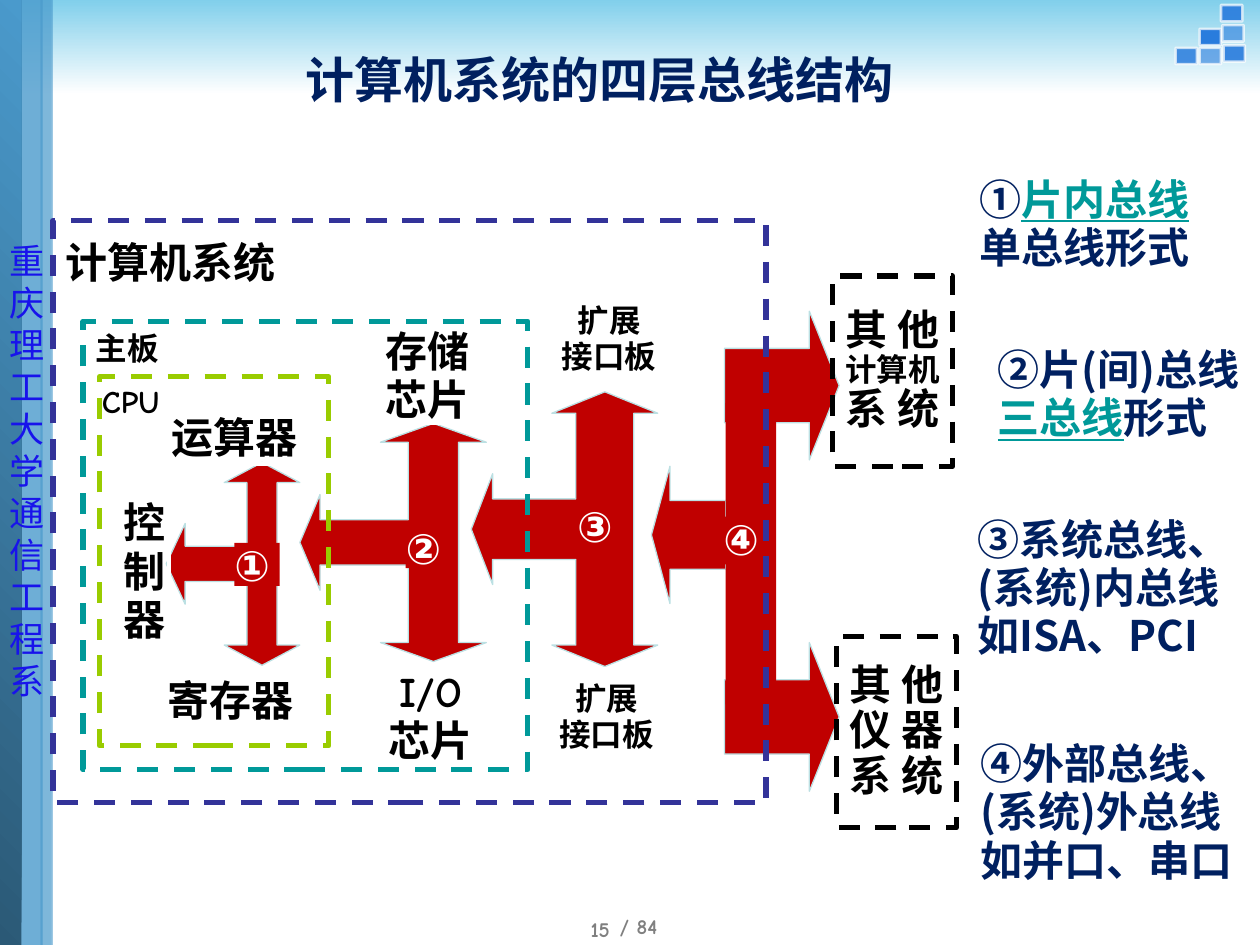
from lxml import etree
from pptx import Presentation
from pptx.dml.color import RGBColor
from pptx.enum.dml import MSO_LINE
from pptx.enum.shapes import MSO_SHAPE
from pptx.enum.text import MSO_ANCHOR, PP_ALIGN
from pptx.oxml.ns import qn
from pptx.util import Inches, Pt

RECTANGLE, LEFT_ARROW, RIGHT_ARROW = MSO_SHAPE.RECTANGLE, MSO_SHAPE.LEFT_ARROW, MSO_SHAPE.RIGHT_ARROW
DASH = MSO_LINE.DASH
TOP, MIDDLE = MSO_ANCHOR.TOP, MSO_ANCHOR.MIDDLE
LEFT, CENTER, RIGHT = PP_ALIGN.LEFT, PP_ALIGN.CENTER, PP_ALIGN.RIGHT
LABEL_FONT, NOTE_FONT, NUMBER_FONT = "Comic Neue", "Noto Sans CJK SC", "Cabin"
COLORS = {
    "sky": "81CFEB", "white": "FFFFFF", "cube": "297CDD", "band": "4A9ACC", "band_dark": "2B5976",
    "school": "1813EB", "bus": "C00000", "bus_edge": "BBE0E3", "navy": "002060", "teal": "009999",
    "green": "99CC00", "indigo": "333399", "black": "000000", "gray": "7F7F7F", "light_gray": "808080",
}


def color(name):
    """Return a named colour."""
    return RGBColor.from_string(COLORS[name])


def set_alpha(fill_element, percent):
    """Make the solid colour under an element partly transparent."""
    for node in fill_element.iter(qn("a:srgbClr")):
        etree.SubElement(node, qn("a:alpha")).set("val", str(percent * 1000))


def paint(shape, fill=None, line=None, width=0.75, dash=None):
    """Set fill and outline and remove the shadow."""
    shape.shadow.inherit = False
    if fill:
        shape.fill.solid()
        shape.fill.fore_color.rgb = color(fill)
    else:
        shape.fill.background()
    if line:
        shape.line.color.rgb = color(line)
        shape.line.width = Pt(width)
        if dash:
            shape.line.dash_style = dash
    else:
        shape.line.fill.background()


def add_box(slide, box, kind=RECTANGLE, **style):
    """Add a painted preset shape."""
    shape = slide.shapes.add_shape(kind, *map(Inches, box))
    paint(shape, **style)
    return shape


def write(shape, lines, size, font=LABEL_FONT, ink="black", align=LEFT, anchor=TOP,
          spacing=0.96, inset=0, bold=True):
    """Fill a shape with lines, each a string or a list of (text, overrides) runs."""
    frame = shape.text_frame
    frame.word_wrap = True
    frame.vertical_anchor = anchor
    if inset is not None:
        frame.margin_left = frame.margin_right = frame.margin_top = frame.margin_bottom = Inches(inset)
    for index, line in enumerate(lines):
        paragraph = frame.add_paragraph() if index else frame.paragraphs[0]
        paragraph.alignment, paragraph.line_spacing = align, spacing
        paragraph.font.name, paragraph.font.size, paragraph.font.bold = font, Pt(size), bold
        paragraph.font.color.rgb = color(ink)
        for text, overrides in [(line, {})] if isinstance(line, str) else line:
            run = paragraph.add_run()
            run.text = text
            if "size" in overrides:
                run.font.size = Pt(overrides["size"])
            if "ink" in overrides:
                run.font.color.rgb = color(overrides["ink"])
                run.font.underline = True


def add_text(slide, box, lines, size, **style):
    """Add a text box."""
    write(slide.shapes.add_textbox(*map(Inches, box)), lines, size, **style)


def add_gradient(slide, box, start, end, angle):
    """Add a rectangle with a two-colour gradient."""
    shape = add_box(slide, box)
    shape.fill.gradient()
    shape.fill.gradient_angle = angle
    for stop, name in zip(shape.fill.gradient_stops, (start, end)):
        stop.color.rgb = color(name)


def add_backdrop(slide, width, height):
    """Draw the top band, the corner cubes and the side band with the school name."""
    add_gradient(slide, (0, 0, width, 0.75), "sky", "white", 270)
    cubes = [(9.73, 0.34, 90), (9.54, 0.36, 60), (9.35, 0.36, 85),
             (9.54, 0.21, 100), (9.72, 0.18, 60), (9.71, 0.02, 90)]
    for left, top, opacity in cubes:
        cube = add_box(slide, (left, top, 0.13, 0.17), fill="cube", line="white", width=1.5)
        cube.rotation = 90
        outline = cube.line._get_or_add_ln()
        set_alpha(outline, 70)
        set_alpha(cube._element.spPr.find(qn("a:solidFill")), opacity)
    for index, (left, strip, opacity) in enumerate([(0.11, 0.23, 80), (0.32, 0.1, 54), (0.33, 0.08, 37)]):
        band = add_box(slide, (left, 0, strip, height), fill="band")
        set_alpha(band._element.spPr, opacity)
        if index == 0:
            add_gradient(slide, (-0.01, 0, 0.18, height), "band_dark", "band", 45)
    add_text(slide, (-0.02, 1.85, 0.7, 3.8), ["重庆理工大学", "通信工程系"], 20, font=NOTE_FONT,
             ink="school", spacing=1.0, inset=None, bold=False)


def add_number(slide, box, number):
    """Add a bus number on its red patch."""
    write(add_box(slide, box, fill="bus"), [number], 24, font=NUMBER_FONT, ink="white")


def add_bus(slide, box, number, number_box, head, shaft, tip, branch):
    """Draw a vertical double arrow with a branch to the left; head and tip are (half width, length)."""
    left, top, width, height = box
    middle, bottom = top + height / 2, top + height
    axis = left + width - head[0]
    neck = left + tip[1]
    upper = [(left, middle), (neck, middle - tip[0]), (neck, middle - branch),
             (axis - shaft, middle - branch), (axis - shaft, top + head[1]),
             (axis - head[0], top + head[1]), (axis, top), (axis + head[0], top + head[1]),
             (axis + shaft, top + head[1])]
    lower = [(x, top + bottom - y) for x, y in reversed(upper[1:])]
    points = [(Inches(x), Inches(y)) for x, y in upper + lower]
    builder = slide.shapes.build_freeform(*points[0])
    builder.add_line_segments(points[1:], close=True)
    paint(builder.convert_to_shape(), fill="bus", line="bus_edge")
    add_number(slide, number_box, number)


def add_external_bus(slide, left, top):
    """Draw the fourth bus, which leads out to the other systems."""
    arrows = [(LEFT_ARROW, 0, 1.23, 0.59, 1.09, 0.25),
              (RIGHT_ARROW, 0.58, 0, 0.91, 1.18, 0.26),
              (RIGHT_ARROW, 0.58, 2.63, 0.91, 1.18, 0.26)]
    for kind, x, y, width, height, head in arrows:
        arrow = add_box(slide, (left + x, top + y, width, height), kind, fill="bus", line="bus_edge")
        arrow.adjustments[0], arrow.adjustments[1] = 0.5, head
    add_box(slide, (left + 0.59, top + 0.73, 0.4, 2.39), fill="bus")
    add_number(slide, (left + 0.57, top + 1.63, 0.31, 0.38), "④")


def add_parts(slide):
    """Label the parts and draw the dashed borders around them."""
    parts = [((1.36, 3.29, 1.1, 0.39), ["运算器"], 24, LEFT, TOP),
             ((1.33, 5.38, 1.09, 0.39), ["寄存器"], 24, LEFT, TOP),
             ((0.98, 3.97, 0.36, 1.11), ["控制器"], 24, LEFT, TOP),
             ((2.93, 2.61, 0.92, 0.75), ["存储芯片"], 24, CENTER, TOP),
             ((3.02, 5.31, 0.8, 0.75), ["I/O芯片"], 24, CENTER, TOP),
             ((4.35, 2.3, 0.97, 0.79), ["扩展", "接口板"], 18, CENTER, MIDDLE),
             ((4.33, 5.31, 0.97, 0.77), ["扩展", "接口板"], 18, CENTER, MIDDLE)]
    for box, lines, size, align, anchor in parts:
        write(add_box(slide, box, line="white", width=2.25), lines, size, align=align, anchor=anchor)
    borders = [((0.79, 2.99, 1.82, 2.93), "green", (0.81, 3.05, 0.6, 0.33), "CPU", 18, TOP),
               ((0.66, 2.55, 3.53, 3.56), "teal", (0.76, 2.58, 0.66, 0.39), "主板", 18, MIDDLE),
               ((0.42, 1.75, 5.66, 4.62), "indigo", (0.52, 1.9, 1.72, 0.44), "计算机系统", 24, TOP)]
    for box, line, label_box, label, size, anchor in borders:
        add_box(slide, box, line=line, width=3, dash=DASH)
        add_text(slide, label_box, [label], size, anchor=anchor)
    systems = [((6.61, 2.19, 0.95, 1.51), ["其 他 ", [("计算机", {"size": 18})], "系 统"]),
               ((6.64, 5.05, 0.95, 1.52), ["其 他", "仪 器", "系 统"])]
    for box, lines in systems:
        write(add_box(slide, box, line="black", width=3, dash=DASH), lines, 24,
              align=CENTER, anchor=MIDDLE, spacing=0.9, inset=None)


def add_notes_column(slide):
    """Write the explanation of each bus on the right."""
    link = {"ink": "teal"}
    notes = [((7.77, 1.4, 2.28, 0.77), [[("①", {}), ("片内总线", link)], "单总线形式"]),
             ((7.92, 2.75, 2.08, 0.87), ["②片(间)总线", [("三总线", link), ("形式", {})]]),
             ((7.76, 4.1, 2.24, 1.17), ["③系统总线、", "(系统)内总线", "如ISA、PCI"]),
             ((7.78, 5.88, 2.22, 1.27), ["④外部总线、", "(系统)外总线", "如并口、串口"])]
    for box, lines in notes:
        add_text(slide, box, lines, 24, font=NOTE_FONT, ink="navy")


def main():
    """Build the slide and save it."""
    presentation = Presentation()
    presentation.slide_width, presentation.slide_height = Inches(10), Inches(7.5)
    slide = presentation.slides.add_slide(presentation.slide_layouts[6])
    add_backdrop(slide, 10, 7.5)
    add_external_bus(slide, 5.17, 2.47)
    add_bus(slide, (3.74, 3.11, 1.48, 2.18), "③", (4.58, 4, 0.36, 0.34),
            head=(0.42, 0.17), shaft=0.23, tip=(0.44, 0.17), branch=0.24)
    add_bus(slide, (2.38, 3.36, 1.48, 1.89), "②", (3.22, 4.17, 0.36, 0.34),
            head=(0.42, 0.15), shaft=0.2, tip=(0.38, 0.16), branch=0.18)
    add_bus(slide, (1.32, 3.67, 1.06, 1.61), "①", (1.86, 4.31, 0.36, 0.34),
            head=(0.3, 0.16), shaft=0.12, tip=(0.32, 0.15), branch=0.14)
    add_notes_column(slide)
    add_text(slide, (2.33, 0.17, 5.8, 0.91), ["计算机系统的四层总线结构"], 28, ink="navy",
             anchor=MIDDLE, spacing=1.0, inset=None)
    add_parts(slide)
    add_text(slide, (4.42, 7.25, 0.42, 0.25), ["15"], 12, ink="gray", align=RIGHT, anchor=MIDDLE, spacing=1.0)
    add_text(slide, (4.92, 7.25, 0.42, 0.25), ["/ 84"], 12, ink="light_gray", spacing=1.0)
    presentation.save("out.pptx")


if __name__ == "__main__":
    main()
